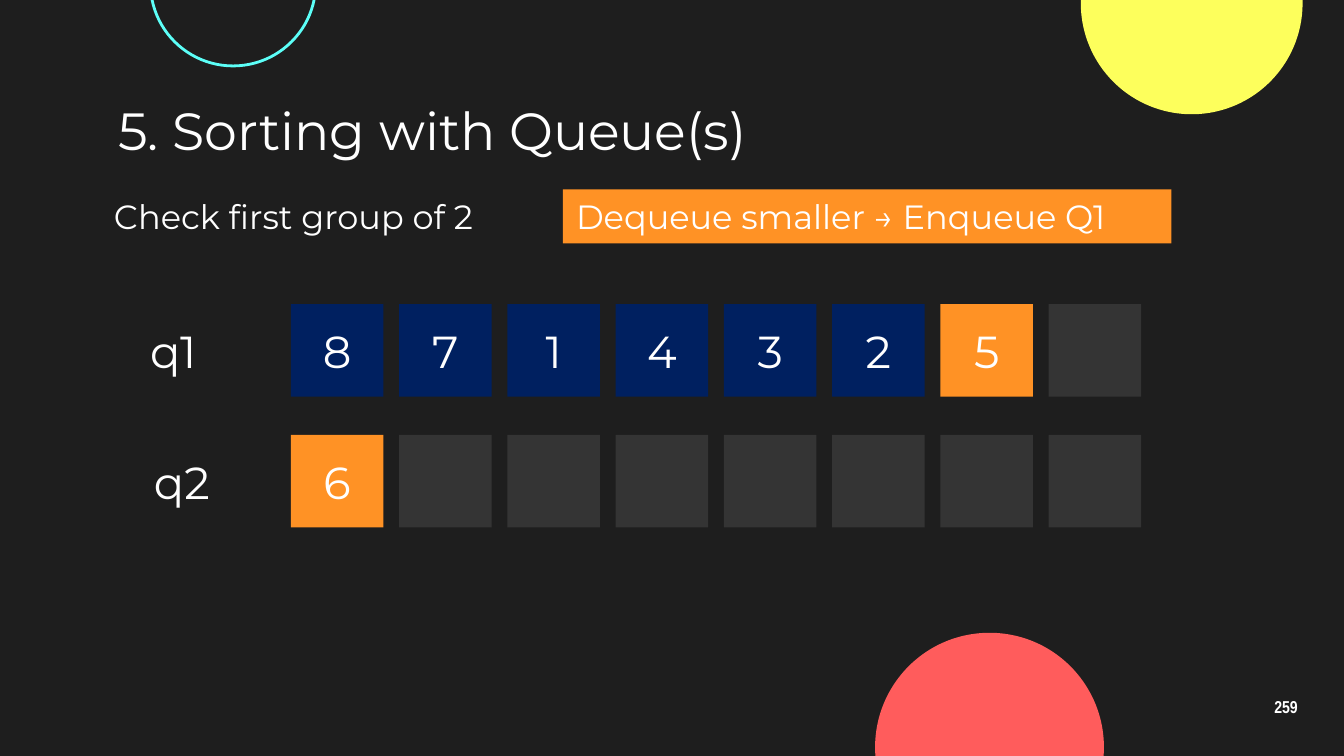
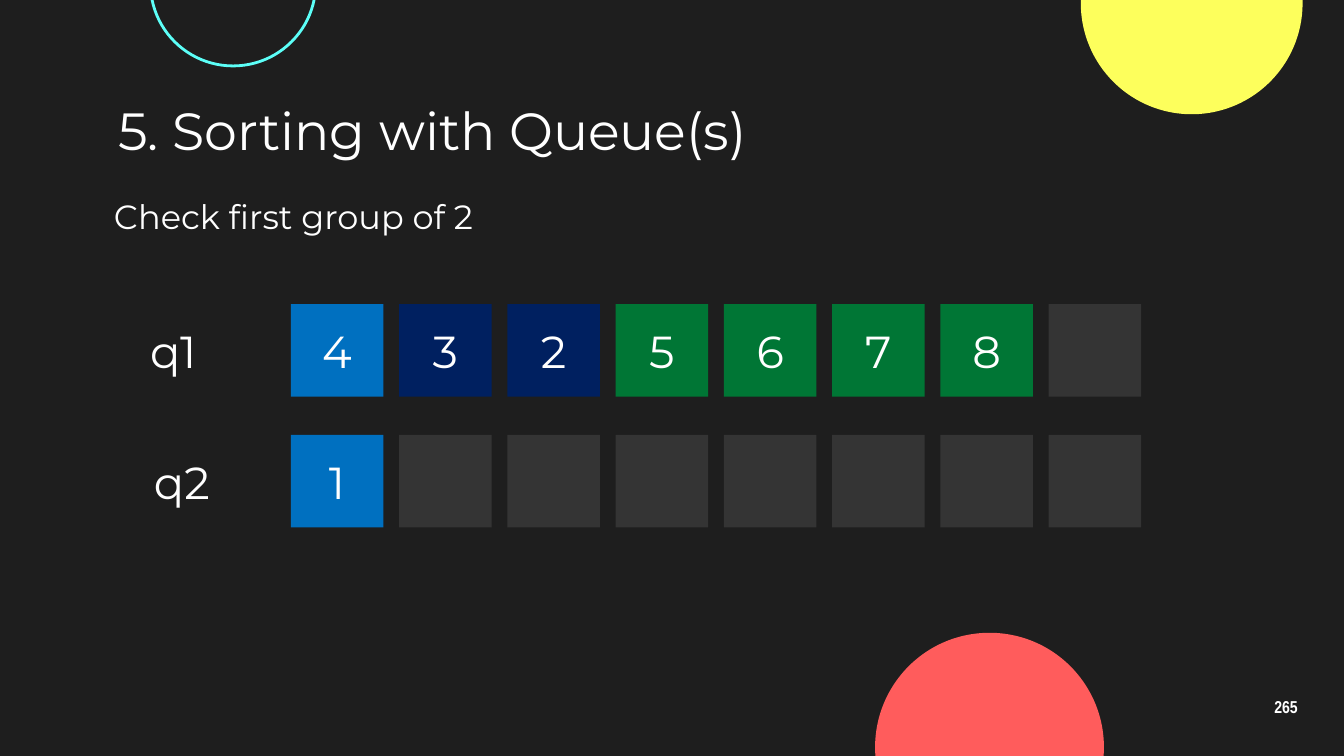
from pptx import Presentation
from pptx.dml.color import RGBColor
from pptx.enum.shapes import MSO_SHAPE
from pptx.enum.text import MSO_ANCHOR, MSO_AUTO_SIZE, PP_ALIGN
from pptx.util import Pt

BACKGROUND = RGBColor(0x1E, 0x1E, 0x1E)
WHITE = RGBColor(0xFF, 0xFF, 0xFF)
YELLOW = RGBColor(0xFD, 0xFF, 0x5C)
CYAN = RGBColor(0x5C, 0xFF, 0xF8)
CORAL = RGBColor(0xFF, 0x5C, 0x5C)
EMPTY = RGBColor(0x34, 0x34, 0x34)
UNSORTED = RGBColor(0x00, 0x20, 0x60)
MOVED = RGBColor(0xFF, 0x92, 0x25)
COMPARED = RGBColor(0x00, 0x70, 0xC0)
SORTED = RGBColor(0x00, 0x76, 0x35)

TEXT_FONT = "Montserrat"
NUMBER_FONT = "Arial Narrow"

TITLE = "5. Sorting with Queue(s)"
STEP = "Check first group of 2"
SLIDES = [
    {
        "number": "259",
        "action": "Dequeue smaller → Enqueue Q1",
        "q1": [("8", UNSORTED), ("7", UNSORTED), ("1", UNSORTED), ("4", UNSORTED),
               ("3", UNSORTED), ("2", UNSORTED), ("5", MOVED)],
        "q2": [("6", MOVED)],
    },
    {
        "number": "265",
        "action": None,
        "q1": [("4", COMPARED), ("3", UNSORTED), ("2", UNSORTED), ("5", SORTED),
               ("6", SORTED), ("7", SORTED), ("8", SORTED)],
        "q2": [("1", COMPARED)],
    },
]

CIRCLES = [
    (579, -57.6, 118.8, YELLOW, None),
    (80.6, -53.3, 88.6, None, CYAN),
    (468.8, 339, 122.6, CORAL, None),
]
QUEUES = [("q1", 73.4, 163), ("q2", 75.4, 233)]
SLOT_COUNT = 8
SLOT_LEFT = 155.8
SLOT_SIDE = 49.6
SLOT_PITCH = 58
LABEL_OFFSET = 6.8


def write(shape, text, size, font=TEXT_FONT, align=PP_ALIGN.LEFT,
          anchor=MSO_ANCHOR.TOP, inset=None):
    frame = shape.text_frame
    frame.text = text
    frame.word_wrap = True
    frame.auto_size = MSO_AUTO_SIZE.NONE
    frame.vertical_anchor = anchor
    if inset is not None:
        frame.margin_left = frame.margin_right = Pt(inset)
        frame.margin_top = frame.margin_bottom = Pt(inset)
    paragraph = frame.paragraphs[0]
    paragraph.alignment = align
    paragraph.font.name = font
    paragraph.font.size = Pt(size)
    paragraph.font.color.rgb = WHITE
    return paragraph


def add_text(slide, box, text, size, **style):
    shape = slide.shapes.add_textbox(*map(Pt, box))
    return write(shape, text, size, **style)


def add_shape(slide, kind, box, fill, line=None):
    shape = slide.shapes.add_shape(kind, *map(Pt, box))
    shape.shadow.inherit = False
    if fill is None:
        shape.fill.background()
    else:
        shape.fill.solid()
        shape.fill.fore_color.rgb = fill
    if line is None:
        shape.line.fill.background()
    else:
        shape.line.color.rgb = line
        shape.line.width = Pt(1.5)
    return shape


def add_frame(slide, number):
    for left, top, diameter, fill, line in CIRCLES:
        add_shape(slide, MSO_SHAPE.OVAL, (left, top, diameter, diameter), fill, line)
    title = slide.shapes.title
    title.left, title.top, title.width, title.height = map(Pt, (56.2, 51.1, 607.6, 36.7))
    write(title, TITLE, 28, anchor=MSO_ANCHOR.MIDDLE, inset=7.2)
    paragraph = add_text(slide, (667.4, 367.2, 43.2, 24.5), number, 9.2, font=NUMBER_FONT,
                         align=PP_ALIGN.CENTER, anchor=MSO_ANCHOR.MIDDLE, inset=7.2)
    paragraph.font.bold = True
    paragraph.line_spacing = 0.9


def add_queue(slide, name, label_left, top, values):
    add_text(slide, (label_left, top + LABEL_OFFSET, 97.2, 36), name, 24)
    for index in range(SLOT_COUNT):
        value, fill = values[index] if index < len(values) else (None, EMPTY)
        box = (SLOT_LEFT + index * SLOT_PITCH, top, SLOT_SIDE, SLOT_SIDE)
        square = add_shape(slide, MSO_SHAPE.RECTANGLE, box, fill)
        if value:
            write(square, value, 24, align=PP_ALIGN.CENTER, anchor=MSO_ANCHOR.MIDDLE)


def main():
    presentation = Presentation()
    presentation.slide_width = Pt(720)
    presentation.slide_height = Pt(405)
    background = presentation.slide_master.background.fill
    background.solid()
    background.fore_color.rgb = BACKGROUND
    for content in SLIDES:
        slide = presentation.slides.add_slide(presentation.slide_layouts[5])
        add_frame(slide, content["number"])
        for name, label_left, top in QUEUES:
            add_queue(slide, name, label_left, top, content[name])
        add_text(slide, (54, 101.4, 260, 29), STEP, 18)
        if content["action"]:
            banner = add_shape(slide, MSO_SHAPE.RECTANGLE, (301.5, 101.4, 326, 29), MOVED)
            write(banner, content["action"], 18)
    presentation.save("out.pptx")


if __name__ == "__main__":
    main()
